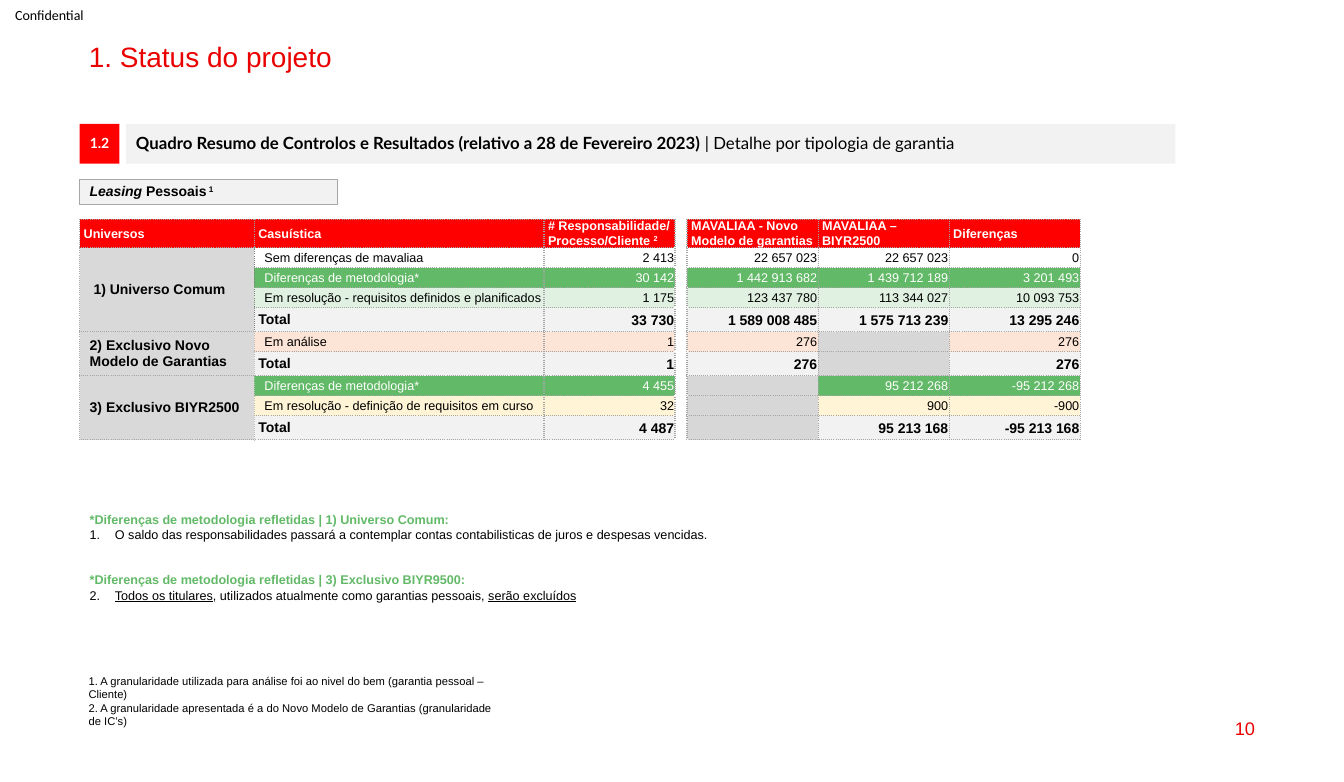
from lxml.etree import SubElement
from pptx import Presentation
from pptx.dml.color import RGBColor
from pptx.enum.shapes import MSO_SHAPE
from pptx.enum.text import MSO_ANCHOR, MSO_AUTO_SIZE, PP_ALIGN
from pptx.oxml import parse_xml
from pptx.oxml.ns import nsdecls, qn
from pptx.util import Pt

BLACK = RGBColor(0x00, 0x00, 0x00)
WHITE = RGBColor(0xFF, 0xFF, 0xFF)
RED = RGBColor(0xFF, 0x00, 0x00)
TITLE_RED = RGBColor(0xEB, 0x00, 0x00)
GREEN = RGBColor(0x62, 0xB9, 0x67)
PALE_GREEN = RGBColor(0xE0, 0xF1, 0xE1)
PEACH = RGBColor(0xFC, 0xE4, 0xD6)
CREAM = RGBColor(0xFF, 0xF5, 0xD6)
LIGHT_GREY = RGBColor(0xF2, 0xF2, 0xF2)
UNIVERSE_GREY = RGBColor(0xD9, 0xD9, 0xD9)
EMPTY_GREY = RGBColor(0xD7, 0xD7, 0xD7)
BORDER_GREY = RGBColor(0xA6, 0xA6, 0xA6)
DARK_BORDER = RGBColor(0x80, 0x80, 0x80)
PALE_BORDER = RGBColor(0xBF, 0xBF, 0xBF)

BOX_INSETS = (7.2, 3.6, 7.2, 3.6)
HEADER_INSETS = (2.9, 0, 2.9, 0)
DETAIL_INSETS = (7.2, 0.7, 0.7, 0)
VALUE_INSETS = (0.7, 0.7, 0.7, 0)
NO_INSETS = (0, 0, 0, 0)
SIDES = ("left", "top", "right", "bottom")
GAP_COLUMN = 3

HEADERS = (
    "Universos", "Casuística",
    [["# Responsabilidade/"], ["Processo/Cliente ", ("2", {"baseline": 30})]],
    None, "MAVALIAA - Novo Modelo de garantias", "MAVALIAA – BIYR2500", "Diferenças",
)
UNIVERSES = (
    (" 1) Universo Comum", DARK_BORDER, (
        ("Sem diferenças de mavaliaa", None, "2 413", "22 657 023", "22 657 023", "0"),
        ("Diferenças de metodologia*", GREEN, "30 142", "1 442 913 682", "1 439 712 189", "3 201 493"),
        ("Em resolução - requisitos definidos e planificados", PALE_GREEN,
         "1 175", "123 437 780", "113 344 027", "10 093 753"),
        ("Total", LIGHT_GREY, "33 730", "1 589 008 485", "1 575 713 239", "13 295 246"),
    )),
    ("2) Exclusivo Novo Modelo de Garantias", PALE_BORDER, (
        ("Em análise", PEACH, "1", "276", None, "276"),
        ("Total", LIGHT_GREY, "1", "276", None, "276"),
    )),
    ("3) Exclusivo BIYR2500", PALE_BORDER, (
        ("Diferenças de metodologia*", GREEN, "4 455", None, "95 212 268", "-95 212 268"),
        ("Em resolução - definição de requisitos em curso", CREAM, "32", None, "900", "-900"),
        ("Total", LIGHT_GREY, "4 487", None, "95 213 168", "-95 213 168"),
    )),
)


class StatusSlide:
    def __init__(self, presentation):
        self.slide = presentation.slides.add_slide(presentation.slide_layouts[1])
        self.style = {"name": "Arial", "size": 10, "color": BLACK, "bold": False}

    def fill_text(self, frame, paragraphs, align=PP_ALIGN.LEFT, spacing=1.0, **style):
        if isinstance(paragraphs, str):
            paragraphs = [[paragraphs]]
        for index, runs in enumerate(paragraphs):
            paragraph = frame.add_paragraph() if index else frame.paragraphs[0]
            paragraph.alignment, paragraph.line_spacing = align, spacing
            paragraph.space_before = Pt(0)
            for part in runs:
                text, extra = (part, {}) if isinstance(part, str) else part
                run = paragraph.add_run()
                run.text = text
                self.style_font(run.font, {**self.style, **style, **extra})

    def style_font(self, font, values):
        for key, value in values.items():
            if key == "color":
                font.color.rgb = value
            elif key == "baseline":
                font._element.set("baseline", str(value * 1000))
            else:
                setattr(font, key, Pt(value) if key == "size" else value)

    def frame(self, shape, insets, anchor):
        frame = shape.text_frame
        frame.word_wrap, frame.auto_size = True, MSO_AUTO_SIZE.NONE
        frame.vertical_anchor = anchor
        for side, inset in zip(SIDES, insets):
            setattr(frame, f"margin_{side}", Pt(inset))
        return frame

    def text(self, box, paragraphs, insets=BOX_INSETS, anchor=MSO_ANCHOR.TOP, **style):
        label = self.slide.shapes.add_textbox(*map(Pt, box))
        self.fill_text(self.frame(label, insets, anchor), paragraphs, **style)

    def placeholder(self, index, box, paragraphs, **style):
        holder = self.slide.placeholders[index]
        for key, value in zip(("left", "top", "width", "height"), box):
            setattr(holder, key, Pt(value))
        frame = self.frame(holder, BOX_INSETS, MSO_ANCHOR.TOP)
        self.fill_text(frame, paragraphs, **style)
        return frame

    def band(self, box, paragraphs, fill, line=None, **style):
        band = self.slide.shapes.add_shape(MSO_SHAPE.RECTANGLE, *map(Pt, box))
        band.shadow.inherit = False
        band.fill.solid()
        band.fill.fore_color.rgb = fill
        if line:
            band.line.color.rgb, band.line.width = line, Pt(0.75)
        else:
            band.line.fill.background()
        frame = self.frame(band, BOX_INSETS, MSO_ANCHOR.MIDDLE)
        self.fill_text(frame, paragraphs, spacing=0.9, **style)

    def number(self, paragraph, start=None):
        properties = paragraph._p.get_or_add_pPr()
        indent = Pt(18) if start else 0
        properties.set("marL", str(indent))
        properties.set("indent", str(-indent))
        if start:
            SubElement(properties, qn("a:buFont"), typeface="+mj-lt")
            SubElement(properties, qn("a:buAutoNum"), type="arabicPeriod", startAt=str(start))
        else:
            SubElement(properties, qn("a:buNone"))

    def cell(self, cell, content, fill, insets=NO_INSETS, borders=None, **style):
        cell.vertical_anchor = MSO_ANCHOR.MIDDLE
        for side, inset in zip(SIDES, insets):
            setattr(cell, f"margin_{side}", Pt(inset))
        if fill is None:
            cell.fill.background()
        else:
            cell.fill.solid()
            cell.fill.fore_color.rgb = fill
        if content:
            self.fill_text(cell.text_frame, content, **style)
        else:
            SubElement(cell.text_frame.paragraphs[0]._p, qn("a:endParaRPr"), sz="900")
        for position, (side, color) in enumerate((borders or {}).items()):
            cell._tc.get_or_add_tcPr().insert(position, parse_xml(
                f'<a:ln{side} {nsdecls("a")} w="{Pt(1)}"><a:solidFill><a:srgbClr val="{color}"/>'
                f'</a:solidFill><a:prstDash val="sysDot"/></a:ln{side}>'))

    def table(self, box, widths, heights):
        table = self.slide.shapes.add_table(len(heights), len(widths), *map(Pt, box)).table
        table.first_row = table.horz_banding = False
        for column, width in zip(table.columns, widths):
            column.width = Pt(width)
        for row, height in zip(table.rows, heights):
            row.height = Pt(height)
        grid = dict.fromkeys("LRTB", BORDER_GREY)
        gap = dict.fromkeys("LR", BORDER_GREY)
        for column, header in enumerate(HEADERS):
            is_gap = column == GAP_COLUMN
            self.cell(table.cell(0, column), header, None if is_gap else RED, HEADER_INSETS,
                      gap if is_gap else grid, size=9, bold=True, color=WHITE)
        top = 1
        for universe, edge, rows in UNIVERSES:
            for row, (case, fill, count, *amounts) in enumerate(rows, top):
                total = case == "Total"
                style = {"size": 10 if total else 9, "bold": total,
                         "color": WHITE if fill == GREEN else BLACK}
                self.cell(table.cell(row, 0), universe if row == top else None, UNIVERSE_GREY,
                          BOX_INSETS if row == top else NO_INSETS, {**grid, "R": edge}, bold=True)
                self.cell(table.cell(row, 1), case, fill, HEADER_INSETS if total else DETAIL_INSETS,
                          {**grid, "L": edge}, **style)
                for column, value in enumerate((count, None, *amounts), 2):
                    is_gap = column == GAP_COLUMN
                    shade = None if is_gap else fill if value else EMPTY_GREY
                    self.cell(table.cell(row, column), value, shade, VALUE_INSETS,
                              gap if is_gap else grid, align=PP_ALIGN.RIGHT, **style)
            table.cell(top, 0).merge(table.cell(top + len(rows) - 1, 0))
            top += len(rows)


def main():
    presentation = Presentation()
    presentation.slide_width, presentation.slide_height = Pt(960), Pt(558.72)
    status = StatusSlide(presentation)
    status.text((0, 0, 71.3, 20.9), "Confidential", (10.8, 0, 0, 0), MSO_ANCHOR.MIDDLE, name="Calibri")
    status.placeholder(0, (56.2, 27.4, 847.4, 24.5), "1. Status do projeto",
                       spacing=0.9, size=20, color=TITLE_RED)
    status.text((687.6, 505.4, 216, 29.5), "10", anchor=MSO_ANCHOR.MIDDLE,
                align=PP_ALIGN.RIGHT, size=13, color=TITLE_RED)
    status.band((56.9, 88.6, 28.4, 28.4), "1.2", RED, align=PP_ALIGN.CENTER,
                name="Lato", bold=True, color=WHITE)
    status.band((90, 88.6, 749.5, 28.4), [[
        ("Quadro Resumo de Controlos e Resultados (relativo a 28 de Fevereiro 2023) ", {"bold": True}),
        "| Detalhe por tipologia de garantia"]], LIGHT_GREY, name="Lato", size=12)
    status.band((56.9, 128.2, 184.3, 18), [[
        ("Leasing ", {"italic": True}), "Pessoais", (" 1", {"baseline": 30})]],
        LIGHT_GREY, BORDER_GREY, bold=True)
    status.table((56.9, 156.8, 714.2, 157.7), (124.8, 206.9, 93.6, 8.2, 93.6, 93.6, 93.6),
                 (18.7, 14.3, 14.3, 14.3, 17.2, 14.3, 17.2, 14.3, 14.3, 17.2))
    status.text((56.2, 478.1, 312.5, 46), [
        ["1. A granularidade utilizada para análise foi ao nivel do bem (garantia pessoal – Cliente)"],
        ["2. A granularidade apresentada é a do Novo Modelo de Garantias (granularidade de IC’s)"]], size=8)
    heading, underlined = {"bold": True, "color": GREEN}, {"underline": True}
    methodology = status.placeholder(1, (56.9, 362.2, 759.6, 108), [
        [("*Diferenças de metodologia refletidas | 1) Universo Comum:", heading)],
        ["O saldo das responsabilidades passará a contemplar contas contabilisticas de juros e despesas vencidas."],
        [("*Diferenças de metodologia refletidas | 3) Exclusivo BIYR9500:", heading)],
        [("Todos os titulares", underlined), ", utilizados atualmente como garantias pessoais, ",
         ("serão excluídos", underlined)]], size=9)
    methodology.paragraphs[2].space_before = Pt(21.4)
    for paragraph, start in zip(methodology.paragraphs, (None, 1, None, 2)):
        status.number(paragraph, start)
    presentation.save("out.pptx")


if __name__ == "__main__":
    main()
